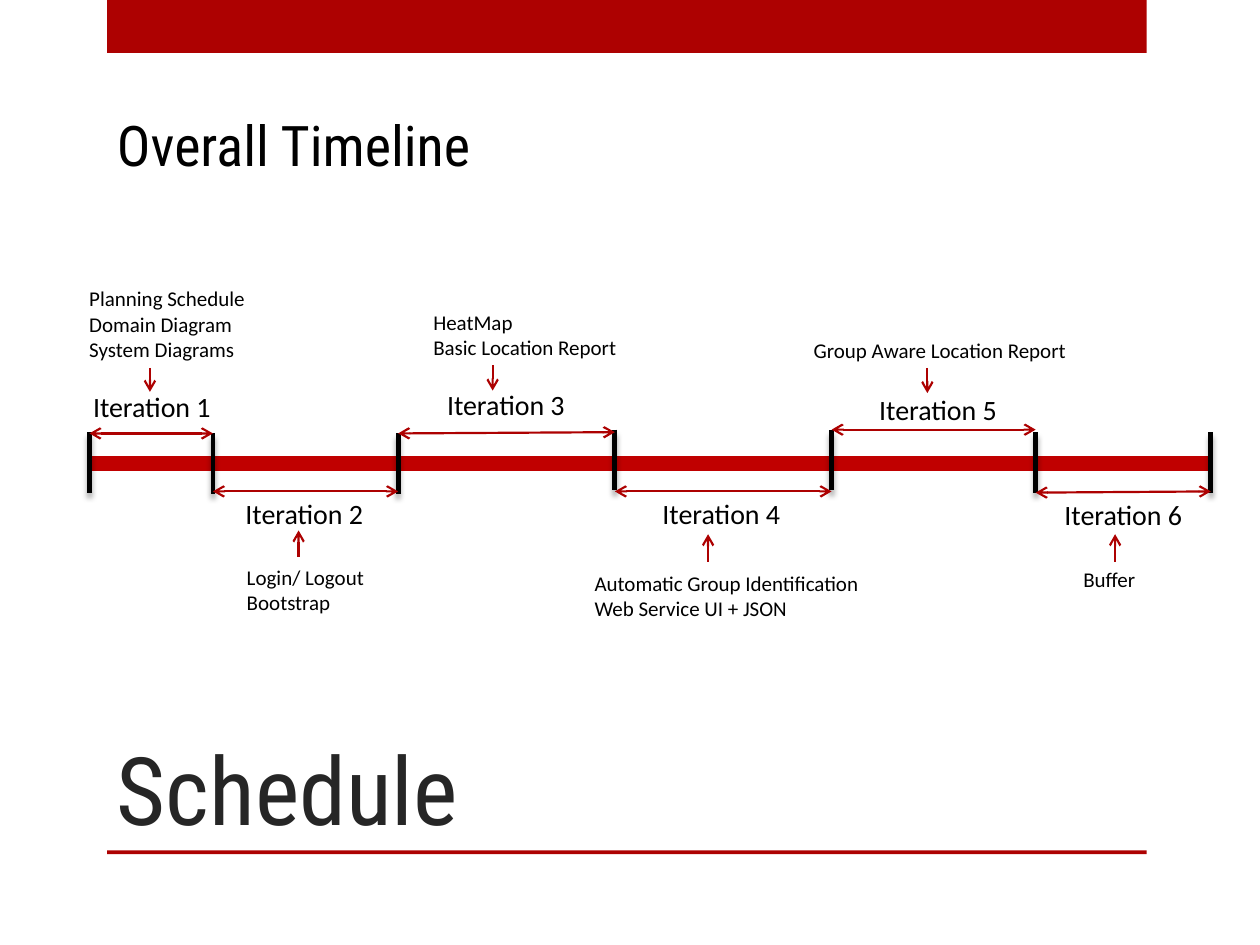
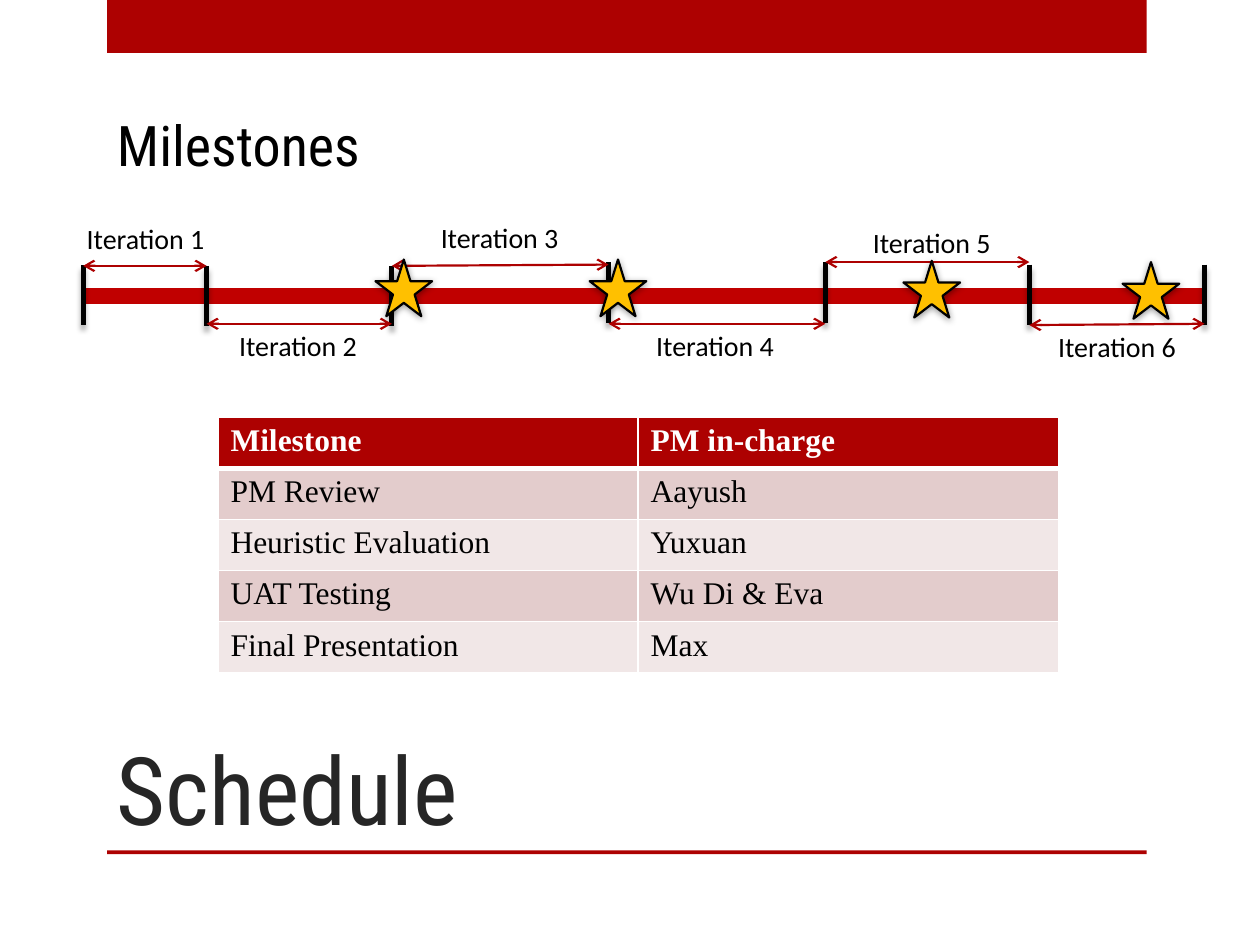
from dataclasses import dataclass
from lxml import etree
from pptx import Presentation
from pptx.dml.color import RGBColor
from pptx.enum.shapes import MSO_CONNECTOR as Connector, MSO_SHAPE as Preset
from pptx.enum.text import MSO_ANCHOR as Anchor
from pptx.oxml.ns import qn
from pptx.util import Inches, Pt


@dataclass(frozen=True)
class Theme:
    red: RGBColor = RGBColor(0xAD, 0x01, 0x01)
    bar: RGBColor = RGBColor(0xC0, 0x00, 0x00)
    black: RGBColor = RGBColor(0, 0, 0)
    white: RGBColor = RGBColor(255, 255, 255)
    title: RGBColor = RGBColor(0x26, 0x26, 0x26)
    star: RGBColor = RGBColor(0xFF, 0xC0, 0x00)
    odd_row: RGBColor = RGBColor(0xE3, 0xCC, 0xCC)
    even_row: RGBColor = RGBColor(0xF1, 0xE7, 0xE7)
    heading_font: str = "Roboto Condensed"
    body_font: str = "Calibri"
    table_font: str = "Times New Roman"
    title_size: int = 54
    heading_size: int = 32
    table_size: int = 18
    label_size: int = 16
    note_size: int = 12


theme = Theme()
title_style = {"name": theme.heading_font, "size": Pt(theme.title_size), "color": theme.title}
heading_style = {"name": theme.heading_font, "size": Pt(theme.heading_size), "color": theme.black}
label_style = {"name": theme.body_font, "size": Pt(theme.label_size), "color": theme.black}
note_style = {"name": theme.body_font, "size": Pt(theme.note_size), "color": theme.black}
header_style = {"name": theme.table_font, "size": Pt(theme.table_size), "bold": True, "color": theme.white}
row_style = {**header_style, "bold": False, "color": theme.black}


def write_text(text_frame, lines, style):
    text_frame.word_wrap = True
    text_frame.text = "\n".join(lines)
    for paragraph in text_frame.paragraphs:
        for name, value in style.items():
            if name == "color":
                paragraph.runs[0].font.color.rgb = value
            else:
                setattr(paragraph.runs[0].font, name, value)


def add_line(slide, start, end, color, width, arrow_ends=()):
    points = [Inches(value) for value in (*start, *end)]
    connector = slide.shapes.add_connector(Connector.STRAIGHT, *points)
    connector.line.color.rgb = color
    connector.line.width = Pt(width)
    properties = connector._element.spPr
    for arrow_end in arrow_ends:
        etree.SubElement(properties.find(qn("a:ln")), qn(f"a:{arrow_end}"), type="arrow")
    etree.SubElement(properties, qn("a:effectLst"))
    return connector


presentation = Presentation()
presentation.slide_width = Inches(10)
presentation.slide_height = Inches(7.5)

timelines = [("Overall Timeline", 0.71, 3.41), ("Milestones", 0.66, 2.08)]
ticks = [(0, 0.02), (0.98, 0.03), (2.45, 0.03), (4.17, 0), (5.89, 0), (7.51, 0.02), (8.9, 0.02)]
tick_height = 0.48
span_heights = [(0.03, 0.03), (0.49, 0.49), (0.03, 0.02), (0.49, 0.49), (0, 0), (0.5, 0.49)]
labels = [(-0.07, -0.37), (1.14, 0.48), (2.74, -0.38), (4.45, 0.48), (6.17, -0.34), (7.64, 0.49)]
shadowed = []
slides = []

for heading, left, top in timelines:
    slide = presentation.slides.add_slide(presentation.slide_layouts[6])
    slides.append(slide)
    rectangles = [
        (0.85, 0, 8.25, 0.42, theme.red, 0),
        (0.85, 6.75, 8.25, 0.03, theme.red, 0),
        (left, top + 0.22, 8.9, 0.1, theme.bar, 1.75),
    ]
    for *box, color, line_width in rectangles:
        shape = slide.shapes.add_shape(Preset.RECTANGLE, *map(Inches, box))
        shape.shadow.inherit = False
        shape.fill.solid()
        shape.fill.fore_color.rgb = color
        if line_width:
            shape.line.color.rgb = color
            shape.line.width = Pt(line_width)
        else:
            shape.line.fill.background()

    title = slide.shapes.add_textbox(Inches(0.83), Inches(5), Inches(7.42), Inches(1.75))
    title.text_frame.vertical_anchor = Anchor.BOTTOM
    write_text(title.text_frame, ["Schedule"], title_style)
    heading_box = slide.shapes.add_textbox(Inches(0.83), Inches(0.83), Inches(5.88), Inches(0.64))
    write_text(heading_box.text_frame, [heading], heading_style)

    for offset, drop in ticks:
        x, y = left + offset, top + drop
        tick = add_line(slide, (x, y), (x, y + tick_height), theme.black, 2.75)
        shadowed.append((tick, 3, 3, 90, 35))
    for (start, _), (end, _), (start_drop, end_drop) in zip(ticks, ticks[1:], span_heights):
        add_line(slide, (left + start, top + start_drop), (left + end, top + end_drop),
                 theme.red, 1.25, ("headEnd", "tailEnd"))
    for number, (offset, drop) in enumerate(labels, 1):
        label = slide.shapes.add_textbox(Inches(left + offset), Inches(top + drop), Inches(1.3), Inches(0.37))
        write_text(label.text_frame, [f"Iteration {number}"], label_style)

overview, milestones = slides

notes = [
    (0.61, 2.22, 2.35, ["Planning Schedule", "Domain Diagram", "System Diagrams"], 1.19, 2.92, 3.11),
    (1.86, 4.43, 1.58, ["Login/ Logout", "Bootstrap"], 2.37, 4.42, 4.21),
    (3.34, 2.41, 2.35, ["HeatMap", "Basic Location Report"], 3.91, 2.9, 3.1),
    (4.62, 4.48, 2.51, ["Automatic Group Identification", "Web Service UI + JSON"], 5.62, 4.46, 4.24),
    (6.36, 2.63, 2.35, ["Group Aware Location Report"], 7.36, 2.92, 3.12),
    (8.5, 4.45, 0.93, ["Buffer"], 8.85, 4.46, 4.24),
]
for left, top, width, lines, arrow_x, arrow_start, arrow_tip in notes:
    height = 0.1 + 0.2 * len(lines)
    note = overview.shapes.add_textbox(Inches(left), Inches(top), Inches(width), Inches(height))
    write_text(note.text_frame, lines, note_style)
    add_line(overview, (arrow_x, arrow_start), (arrow_x, arrow_tip), theme.red, 1.25, ["tailEnd"])

for left, top in [(2.98, 2.06), (4.68, 2.06), (7.17, 2.07), (8.91, 2.08)]:
    star = milestones.shapes.add_shape(Preset.STAR_5_POINT, Inches(left), Inches(top), Inches(0.45), Inches(0.45))
    star.fill.solid()
    star.fill.fore_color.rgb = theme.star
    star.line.color.rgb = theme.black
    star.line.width = Pt(1.25)
    star.shadow.inherit = False
    shadowed.append((star, 4, 1, 88, 40))

for shape, blur, distance, angle, opacity in shadowed:
    effects = shape._element.spPr.find(qn("a:effectLst"))
    shadow = etree.SubElement(effects, qn("a:outerShdw"), blurRad=str(Pt(blur)), dist=str(Pt(distance)),
                              dir=str(angle * 60000), rotWithShape="0")
    shadow_color = etree.SubElement(shadow, qn("a:srgbClr"), val=str(theme.black))
    etree.SubElement(shadow_color, qn("a:alpha"), val=str(opacity * 1000))

rows = [
    ("Milestone", "PM in-charge"),
    ("PM Review", "Aayush"),
    ("Heuristic Evaluation", "Yuxuan"),
    ("UAT Testing", "Wu Di & Eva"),
    ("Final Presentation", "Max"),
]
frame = milestones.shapes.add_table(len(rows), 2, Inches(1.73), Inches(3.31), Inches(6.67), Inches(2.03))
for row_index, row in enumerate(rows):
    is_header = row_index == 0
    row_fill = theme.red if is_header else theme.odd_row if row_index % 2 else theme.even_row
    for column_index, text in enumerate(row):
        cell = frame.table.cell(row_index, column_index)
        write_text(cell.text_frame, [text], header_style if is_header else row_style)
        borders = {"lnL": 1, "lnR": 1, "lnT": 3 if row_index == 1 else 1, "lnB": 3 if is_header else 1}
        for side, width in borders.items():
            border = etree.SubElement(cell._tc.get_or_add_tcPr(), qn(f"a:{side}"), w=str(Pt(width)))
            border_fill = etree.SubElement(border, qn("a:solidFill"))
            etree.SubElement(border_fill, qn("a:srgbClr"), val=str(theme.white))
        cell.fill.solid()
        cell.fill.fore_color.rgb = row_fill

presentation.save("out.pptx")
